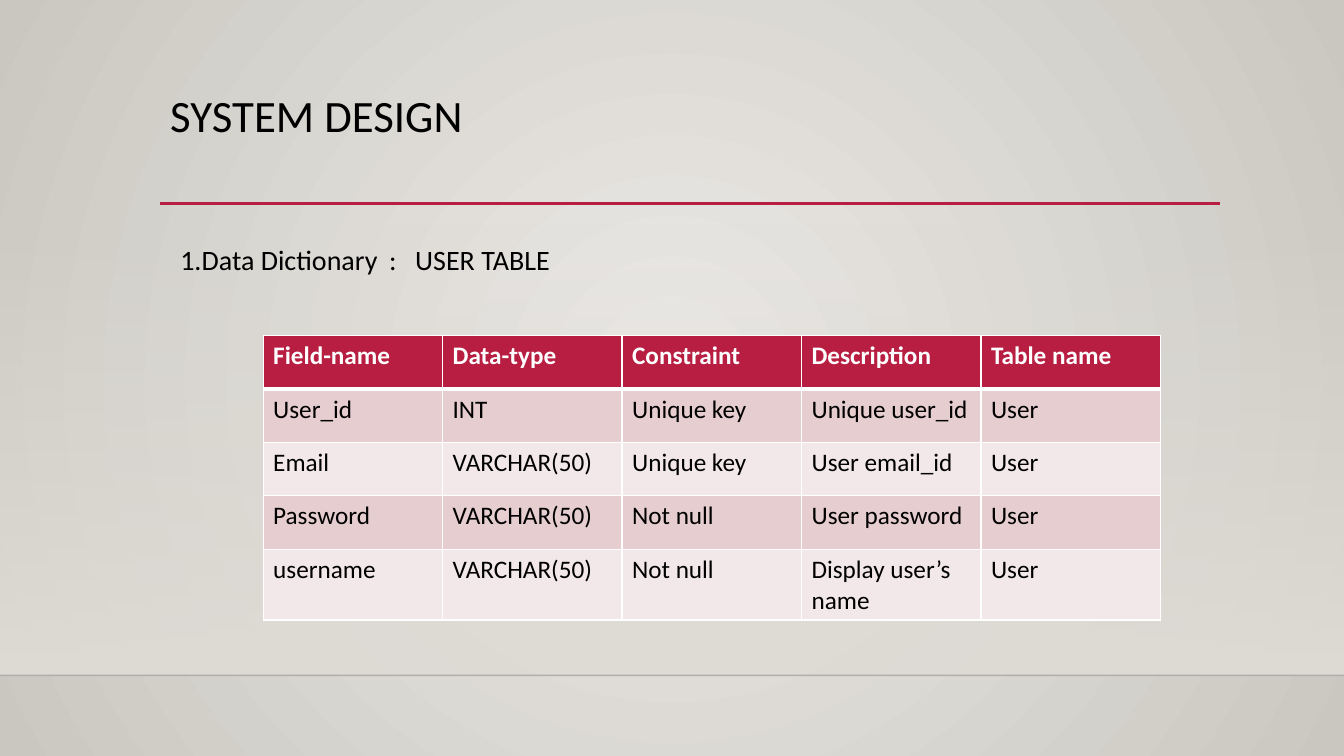
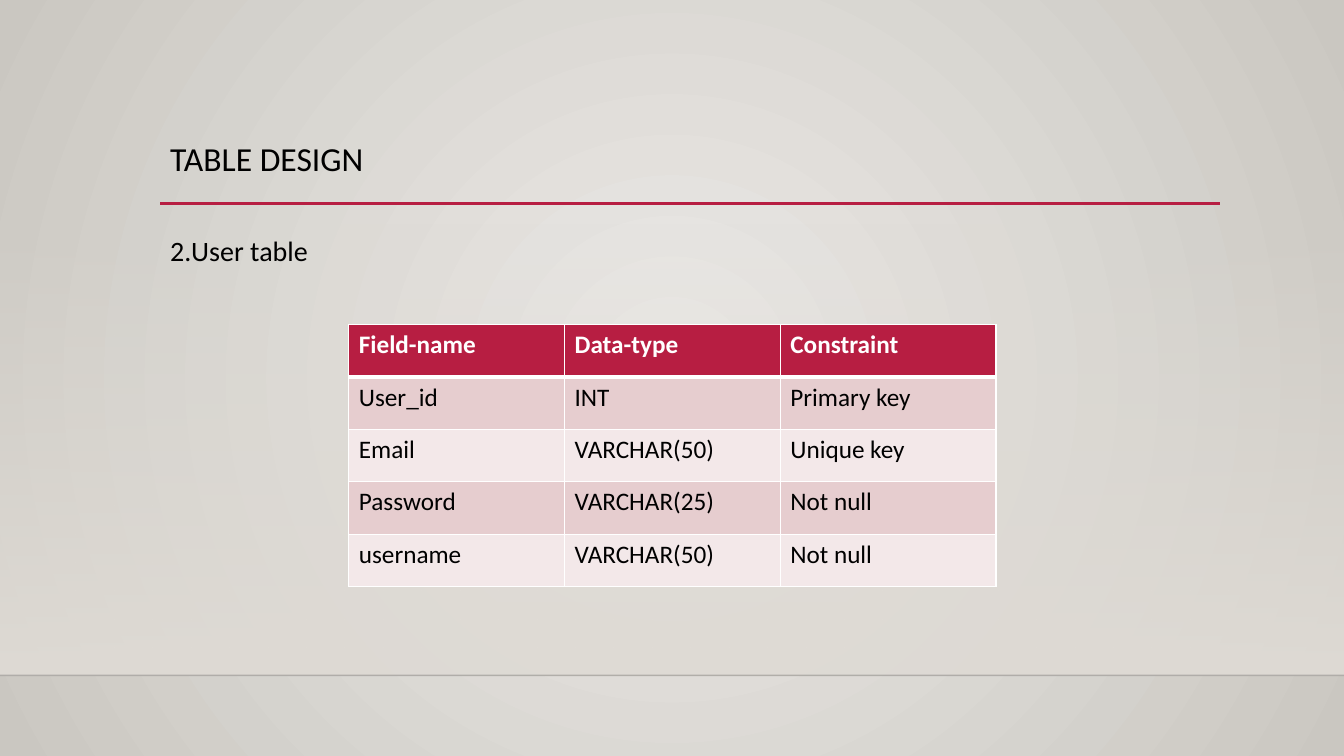
from lxml import etree
from pptx import Presentation
from pptx.dml.color import RGBColor
from pptx.enum.shapes import MSO_CONNECTOR, MSO_SHAPE
from pptx.oxml.ns import qn
from pptx.util import Inches, Pt

LINE = MSO_CONNECTOR.STRAIGHT
RECT = MSO_SHAPE.RECTANGLE

# Content
SLIDES = [
    {
        "title": "SYSTEM DESIGN", "size": 32, "top": 0.88,
        "body": "1.Data Dictionary\t:\tUSER TABLE", "tabs": [2.07, 2.33],
        "at": (1.69, 2.29),
        "grid": (2.61, 3.33), "col": 1.78, "row": 0.53,
        "rows": [
            ("Field-name", "Data-type", "Constraint", "Description", "Table name"),
            ("User_id", "INT", "Unique key", "Unique user_id", "User"),
            ("Email", "VARCHAR(50)", "Unique key", "User email_id", "User"),
            ("Password", "VARCHAR(50)", "Not null", "User password", "User"),
            ("username", "VARCHAR(50)", "Not null", "Display user’s name", "User"),
        ],
    },
    {
        "title": "TABLE DESIGN", "size": 24, "top": 1.36,
        "body": "2.User table", "tabs": [],
        "at": (1.59, 2.2),
        "grid": (3.46, 3.22), "col": 2.14, "row": 0.52,
        "rows": [
            ("Field-name", "Data-type", "Constraint"),
            ("User_id", "INT", "Primary key"),
            ("Email", "VARCHAR(50)", "Unique key"),
            ("Password", "VARCHAR(25)", "Not null"),
            ("username", "VARCHAR(50)", "Not null"),
        ],
    },
]

# Shared style
COLORS = {
    "text": "000000", "white": "FFFFFF", "red": "B71E42", "edge": "000001",
    "dark": "E6CDCF", "light": "F3E8E9",
    "glow": "ECEAE7", "rim": "CAC7C1", "floor": "DFDBD5",
}
FONT = "Calibri"
WIDE, HIGH = 13.33, 7.5
LEFT, SPAN = 1.59, 10.5
BASE = 2.03     # bottom of the title box
FLOOR = 6.7     # bottom of the shaded band


def rgb(name):
    return RGBColor.from_string(COLORS[name])


def sub(node, tag, **attrs):
    return etree.SubElement(node, qn("a:" + tag), attrs)


def add_color(node, name, alpha=100):
    color = sub(node, "srgbClr", val=COLORS[name])
    if alpha < 100:
        sub(color, "alpha", val=str(alpha * 1000))


def set_grad(root, fill, stops):
    """Give a fill its colour stops and return the gradient element."""
    fill.gradient()
    grad = next(root.iter(qn("a:gradFill")))
    for child in list(grad):
        grad.remove(child)
    items = sub(grad, "gsLst")
    for pos, name, alpha in stops:
        add_color(sub(items, "gs", pos=str(pos * 1000)), name, alpha)
    return grad


def add_line(slide, x1, x2, y, name, width, alpha=100):
    line = slide.shapes.add_connector(
        LINE, Inches(x1), Inches(y), Inches(x2), Inches(y))
    line.line.width = Pt(width)
    line.line.color.rgb = rgb(name)
    if alpha < 100:
        color = next(line._element.iter(qn("a:srgbClr")))
        sub(color, "alpha", val=str(alpha * 1000))
    sub(line._element.spPr, "effectLst")


def add_frame(slide):
    # Radial background
    grad = set_grad(slide._element, slide.background.fill,
                    [(0, "glow", 100), (100, "rim", 100)])
    ring = sub(grad, "path", path="circle")
    sub(ring, "fillToRect", l="50000", t="50000", r="50000", b="50000")
    # Band that fades in towards the floor
    band = slide.shapes.add_shape(
        RECT, 0, Inches(2.21), Inches(WIDE), Inches(FLOOR - 2.21))
    band.shadow.inherit = False
    band.line.fill.background()
    grad = set_grad(band._element, band.fill,
                    [(0, "floor", 0), (100, "floor", 100)])
    sub(grad, "lin", ang="5400000", scaled="0")
    # Floor edge and title rule
    add_line(slide, 0, WIDE, FLOOR, "edge", 1, 20)
    add_line(slide, LEFT, 12.1, 2.02, "red", 2.5)


def add_run(para, text, size, name="text", bold=False):
    run = para.add_run()
    run.text = text
    run.font.name = FONT
    run.font.size = Pt(size)
    run.font.bold = bold
    run.font.color.rgb = rgb(name)


def add_text(slide, x, y, height, text, size, space, tabs=()):
    box = slide.shapes.add_textbox(
        Inches(x), Inches(y), Inches(SPAN), Inches(height))
    box.text_frame.word_wrap = True
    para = box.text_frame.paragraphs[0]
    if tabs:
        stops = sub(para._p.get_or_add_pPr(), "tabLst")
        for pos in tabs:
            sub(stops, "tab", pos=str(Inches(pos)), algn="l")
    para.line_spacing = space
    add_run(para, text, size)


def set_edges(cell, top, low):
    props = cell._tc.get_or_add_tcPr()
    for side, width in (("L", 1), ("R", 1), ("T", top), ("B", low)):
        edge = sub(props, "ln" + side, w=str(Pt(width)))
        add_color(sub(edge, "solidFill"), "white")


def add_grid(slide, data):
    rows, (x, y) = data["rows"], data["grid"]
    count = len(rows[0])
    table = slide.shapes.add_table(
        len(rows), count, Inches(x), Inches(y),
        Inches(data["col"] * count), Inches(data["row"] * len(rows))).table
    table.horz_banding = False
    for col in table.columns:
        col.width = Inches(data["col"])
    for r, row in enumerate(rows):
        table.rows[r].height = Inches(data["row"])
        head = r == 0
        fill = "red" if head else ("dark" if r % 2 else "light")
        for c, text in enumerate(row):
            cell = table.cell(r, c)
            set_edges(cell, 3 if r == 1 else 1, 3 if head else 1)
            cell.fill.solid()
            cell.fill.fore_color.rgb = rgb(fill)
            add_run(cell.text_frame.paragraphs[0], text, 18,
                    "white" if head else "text", head)


def main():
    prs = Presentation()
    prs.slide_width, prs.slide_height = Inches(WIDE), Inches(HIGH)
    for data in SLIDES:
        slide = prs.slides.add_slide(prs.slide_layouts[6])
        add_frame(slide)
        add_text(slide, LEFT, data["top"], BASE - data["top"],
                 data["title"], data["size"], 0.9)
        add_text(slide, *data["at"], 0.6, data["body"], 20, 1.2, data["tabs"])
        add_grid(slide, data)
    prs.save("out.pptx")


if __name__ == "__main__":
    main()
